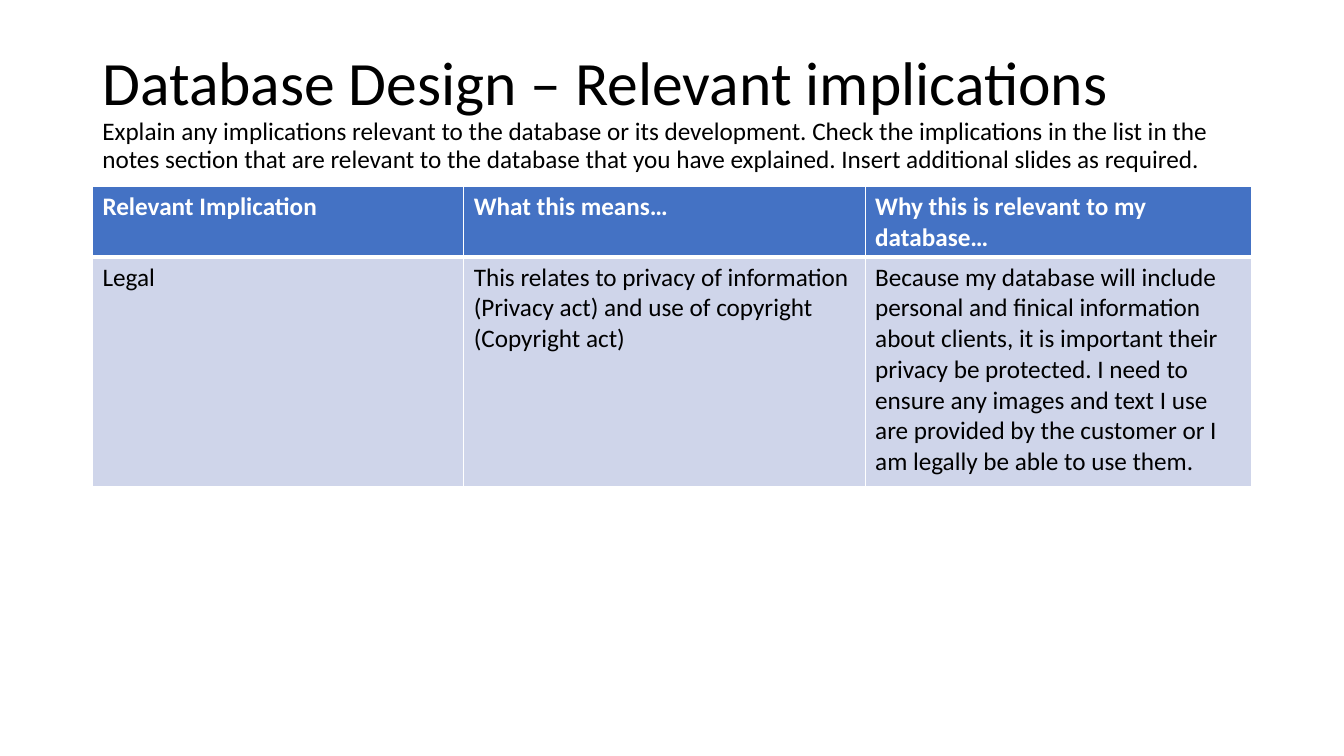
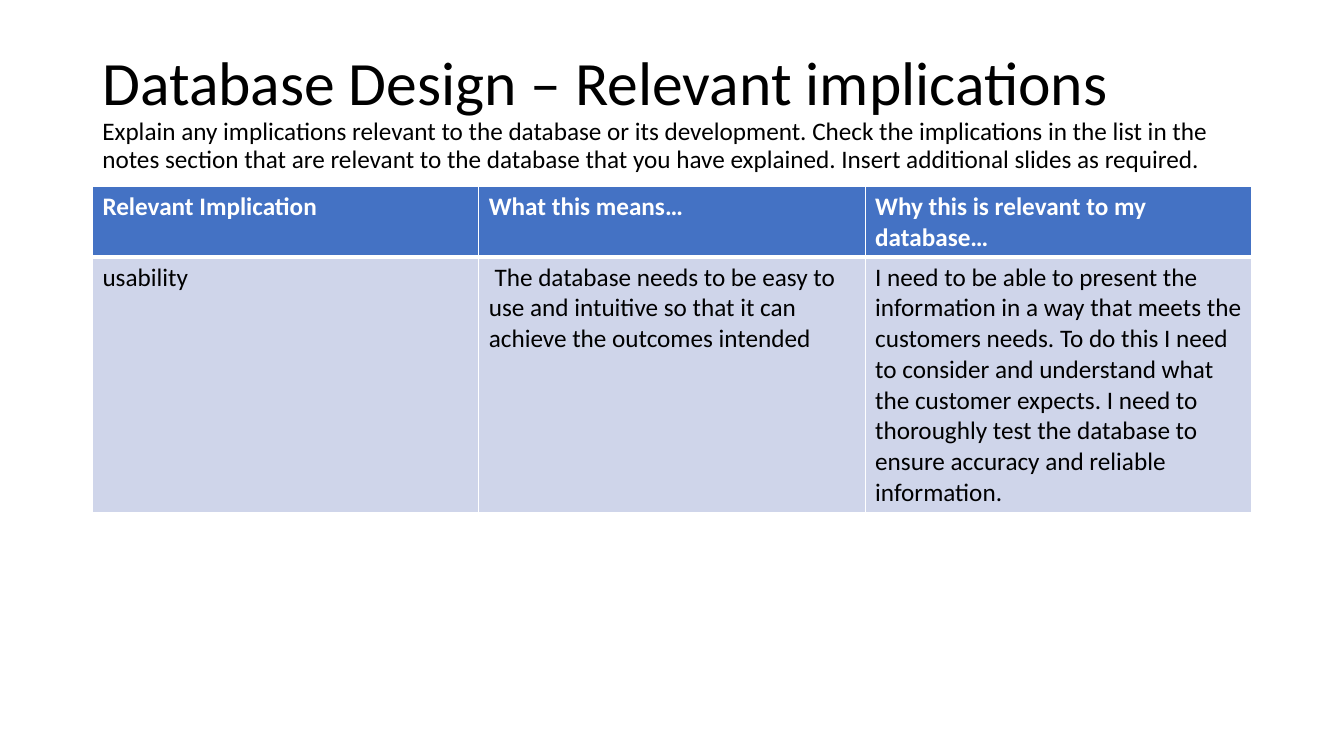
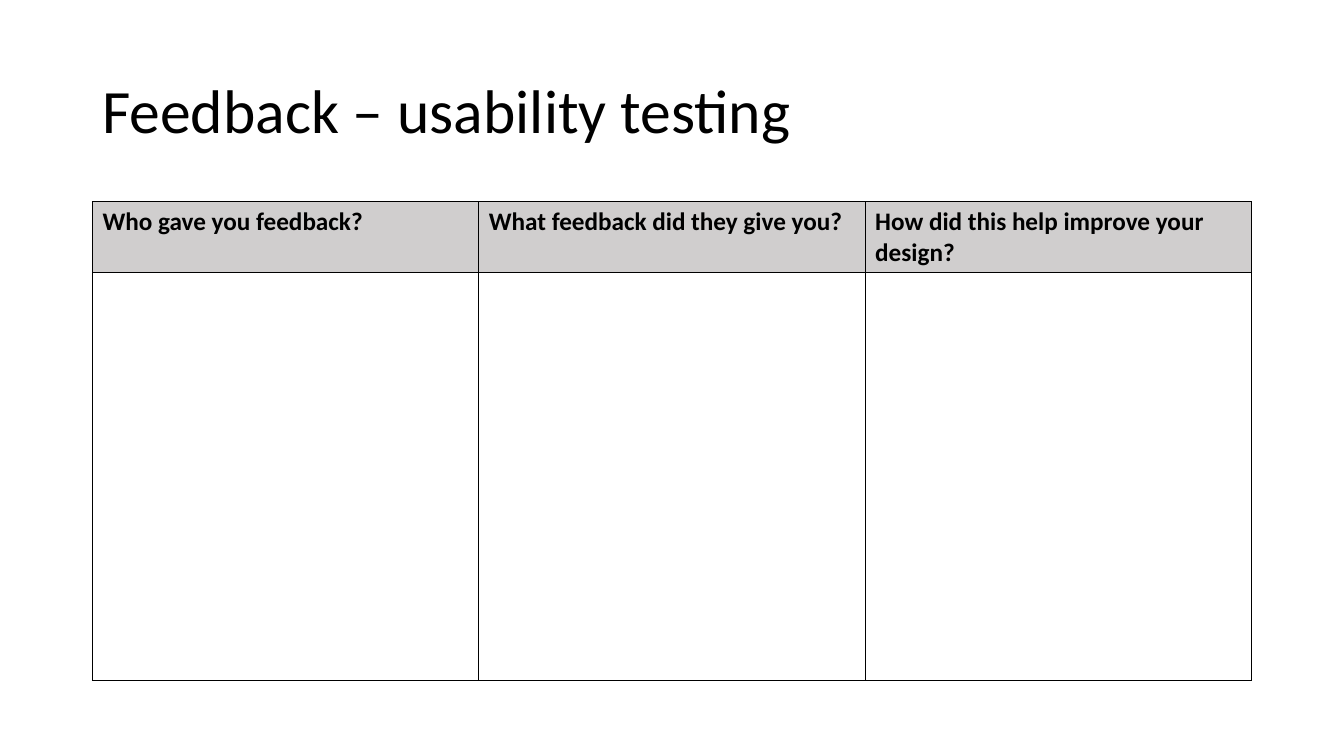
from dataclasses import dataclass

from lxml import etree
from pptx import Presentation
from pptx import util as u
from pptx.dml import color
from pptx.enum import text
from pptx.oxml import ns


@dataclass(frozen=True)
class TableStyle:
    """Colours of a table and the width of the rule under its header."""
    header_fill: str
    header_text: str
    body_fill: str | None
    border: str
    header_rule: float


@dataclass(frozen=True)
class Theme:
    """Colours, type sizes and page measures shared by the slides."""
    font: str = "Calibri"
    ink: str = "000000"
    title_size: int = 44
    text_size: int = 18
    border_width: float = 1
    page_width: float = 33.87
    page_height: float = 19.05
    content_width: float = 29.21
    title_top: float = 1.01
    title_height: float = 3.68
    header_height: float = 1.78
    implications: TableStyle = TableStyle("4472C4", "FFFFFF", "CFD5EA", "FFFFFF", 3)
    feedback: TableStyle = TableStyle("D0CECE", "000000", None, "000000", 1)

    @property
    def left(self):
        """Return the margin that centres the content."""
        return (self.page_width - self.content_width) / 2


THEME = Theme()
EQUAL_COLUMNS = (1, 1, 1)
IMPLICATIONS_TITLE = "Database Design – Relevant implications"
IMPLICATIONS_BRIEF = (
    "Explain any implications relevant to the database or its development. "
    "Check the implications in the list in the notes section that are relevant "
    "to the database that you have explained. Insert additional slides as required."
)
IMPLICATIONS_HEADER = (
    "Relevant Implication", "What this means…", "Why this is relevant to my database…",
)
IMPLICATIONS = (
    (
        (
            "Legal",
            "This relates to privacy of information (Privacy act) and use of "
            "copyright (Copyright act)",
            "Because my database will include personal and finical information "
            "about clients, it is important their privacy be protected. I need to "
            "ensure any images and text I use are provided by the customer or I am "
            "legally be able to use them.",
        ),
        (3.68, 3.98, 3.83), 5.77,
    ),
    (
        (
            "usability",
            " The database needs to be easy to use and intuitive so that it can "
            "achieve the outcomes intended",
            "I need to be able to present the information in a way that meets the "
            "customers needs. To do this I need to consider and understand what the "
            "customer expects. I need to thoroughly test the database to ensure "
            "accuracy and reliable information.",
        ),
        EQUAL_COLUMNS, 6.43,
    ),
)
FEEDBACK_HEADER = (
    "Who gave you feedback?", "What feedback did they give you?",
    "How did this help improve your design?",
)


def add_run(paragraph, words, size, ink=THEME.ink, bold=False):
    """Append a run in the theme font."""
    run = paragraph.add_run()
    run.text = words
    run.font.name = THEME.font
    run.font.size = u.Pt(size)
    run.font.bold = bold
    run.font.color.rgb = color.RGBColor.from_string(ink)


def add_title(slide, title, brief=None):
    """Add the slide title with an optional brief on the following line."""
    frame = slide.shapes.add_textbox(
        u.Cm(THEME.left), u.Cm(THEME.title_top),
        u.Cm(THEME.content_width), u.Cm(THEME.title_height),
    ).text_frame
    frame.word_wrap = True
    frame.vertical_anchor = text.MSO_ANCHOR.MIDDLE
    heading = frame.paragraphs[0]
    heading.line_spacing = 0.9
    add_run(heading, title, THEME.title_size)
    if brief:
        heading.add_line_break()
        add_run(heading, brief, THEME.text_size)


def set_borders(cell, ink, top, bottom):
    """Draw the four borders of a cell, with top and bottom widths in points."""
    properties = cell._tc.get_or_add_tcPr()
    widths = {"L": THEME.border_width, "R": THEME.border_width, "T": top, "B": bottom}
    for position, (side, width) in enumerate(widths.items()):
        line = etree.Element(ns.qn(f"a:ln{side}"), w=str(u.Pt(width)))
        fill = etree.SubElement(line, ns.qn("a:solidFill"))
        etree.SubElement(fill, ns.qn("a:srgbClr"), val=ink)
        properties.insert(position, line)


def fill_cell(cell, words, fill, ink, bold):
    """Set the fill and the text of a cell."""
    if fill:
        cell.fill.solid()
        cell.fill.fore_color.rgb = color.RGBColor.from_string(fill)
    else:
        cell.fill.background()
    if words:
        add_run(cell.text_frame.paragraphs[0], words, THEME.text_size, ink, bold)


def add_grid(slide, style, header, answers, top, body_height, proportions=EQUAL_COLUMNS):
    """Add a table with a header row and one row of answers."""
    heights = (THEME.header_height, body_height)
    grid = slide.shapes.add_table(
        len(heights), len(header), u.Cm(THEME.left), u.Cm(top),
        u.Cm(THEME.content_width), u.Cm(sum(heights)),
    ).table
    grid.horz_banding = False
    for row, height in zip(grid.rows, heights):
        row.height = u.Cm(height)
    for column, share in zip(grid.columns, proportions):
        column.width = u.Cm(THEME.content_width * share / sum(proportions))
    for index, (question, answer) in enumerate(zip(header, answers)):
        head, body = grid.cell(0, index), grid.cell(1, index)
        fill_cell(head, question, style.header_fill, style.header_text, True)
        fill_cell(body, answer, style.body_fill, THEME.ink, False)
        set_borders(head, style.border, THEME.border_width, style.header_rule)
        set_borders(body, style.border, style.header_rule, THEME.border_width)


def main():
    """Build and save the presentation."""
    deck = Presentation()
    deck.slide_width = u.Cm(THEME.page_width)
    deck.slide_height = u.Cm(THEME.page_height)
    blank = deck.slide_layouts[6]
    for answers, proportions, body_height in IMPLICATIONS:
        slide = deck.slides.add_slide(blank)
        add_title(slide, IMPLICATIONS_TITLE, IMPLICATIONS_BRIEF)
        add_grid(slide, THEME.implications, IMPLICATIONS_HEADER, answers,
                 4.7, body_height, proportions)
    slide = deck.slides.add_slide(blank)
    add_title(slide, "Feedback – usability testing")
    add_grid(slide, THEME.feedback, FEEDBACK_HEADER, ("", "", ""), 5.08, 10.29)
    deck.save("out.pptx")


if __name__ == "__main__":
    main()
